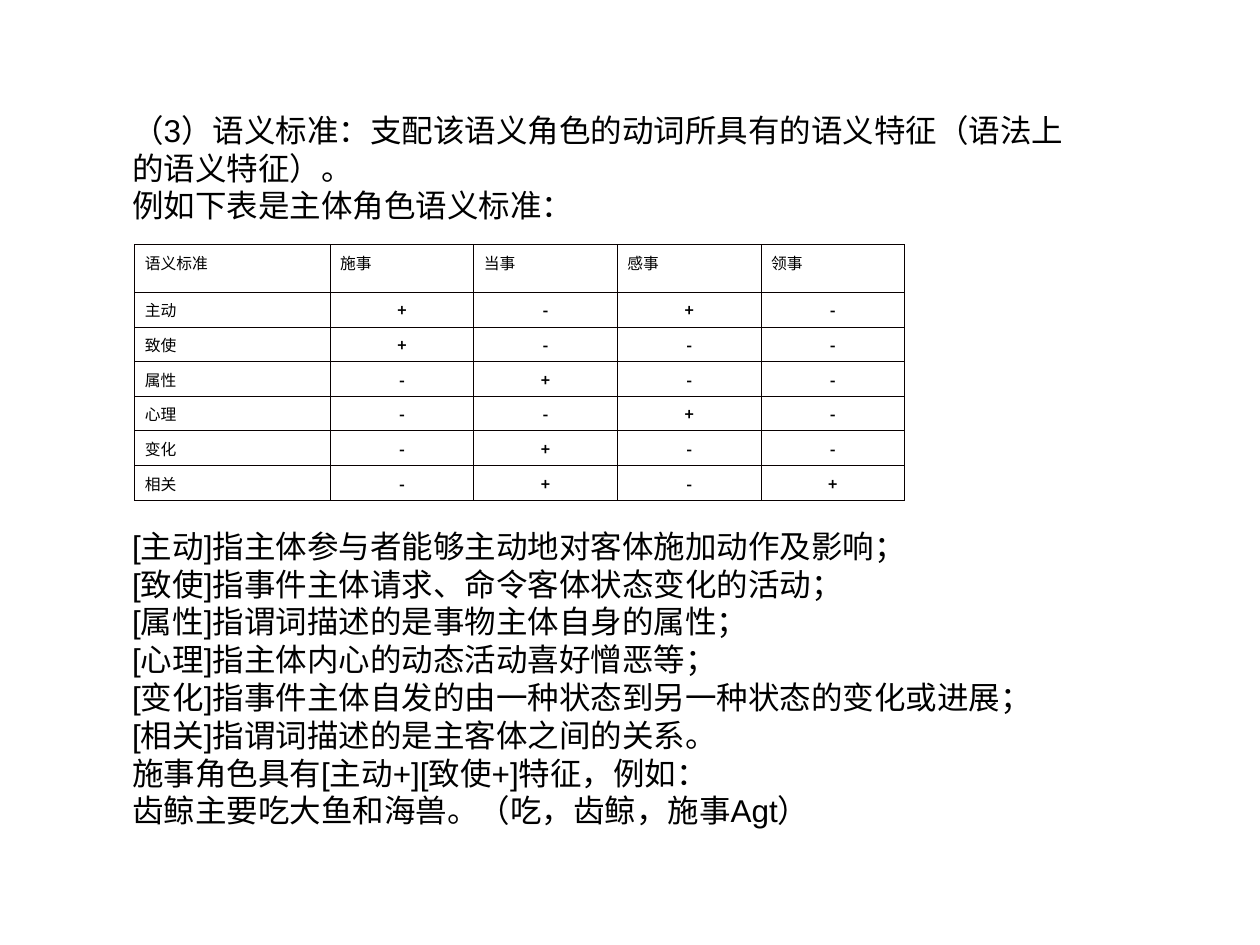
from lxml import etree
from pptx import Presentation
from pptx.dml.color import RGBColor
from pptx.enum import text
from pptx.oxml.ns import qn
from pptx.util import Inches, Pt

COLORS = {"text": "000000", "border": "080000"}
FONTS = {"body": "Arial", "table": "Noto Sans CJK SC"}

INTRO = [
    "（3）语义标准：支配该语义角色的动词所具有的语义特征（语法上",
    "的语义特征）。",
    "例如下表是主体角色语义标准：",
]
DEFINITIONS = [
    ("主动", "指主体参与者能够主动地对客体施加动作及影响；"),
    ("致使", "指事件主体请求、命令客体状态变化的活动；"),
    ("属性", "指谓词描述的是事物主体自身的属性；"),
    ("心理", "指主体内心的动态活动喜好憎恶等；"),
    ("变化", "指事件主体自发的由一种状态到另一种状态的变化或进展；"),
    ("相关", "指谓词描述的是主客体之间的关系。"),
]
EXAMPLE = [
    "施事角色具有[主动+][致使+]特征，例如：",
    "齿鲸主要吃大鱼和海兽。（吃，齿鲸，施事Agt）",
]
HEADER = ["语义标准", "施事", "当事", "感事", "领事"]
FEATURES = ["+-+-", "+---", "-+--", "--+-", "-+--", "-+-+"]

COLUMN_WIDTHS = [1.55] + [1.14] * 4
ROW_HEIGHTS = [0.38] + [0.275] * len(FEATURES)
TABLE_GAP = Pt(173)  # room for the table between the intro and the definitions


def add_run(paragraph, words, font, size, bold=False):
    run = paragraph.add_run()
    run.text = words
    for name, value in {"name": font, "size": Pt(size), "bold": bold}.items():
        setattr(run.font, name, value)
    run.font.color.rgb = RGBColor.from_string(COLORS["text"])
    return run


def add_borders(cell):
    properties = cell._tc.get_or_add_tcPr()
    for index, side in enumerate(("lnL", "lnR", "lnT", "lnB")):
        line = etree.Element(qn(f"a:{side}"), w=str(Pt(0.45)))
        fill = etree.SubElement(line, qn("a:solidFill"))
        etree.SubElement(fill, qn("a:srgbClr"), val=COLORS["border"])
        properties.insert(index, line)


def add_explanation(slide):
    box = slide.shapes.add_textbox(Inches(0.95), Inches(0.83), Inches(7.71), Inches(6.4))
    frame = box.text_frame
    frame.word_wrap = False
    frame.auto_size = text.MSO_AUTO_SIZE.SHAPE_TO_FIT_TEXT
    definitions = [f"[{term}]{meaning}" for term, meaning in DEFINITIONS]
    for index, words in enumerate(INTRO + definitions + EXAMPLE):
        paragraph = frame.add_paragraph() if index else frame.paragraphs[0]
        if index == len(INTRO):
            paragraph.space_before = TABLE_GAP
        add_run(paragraph, words, FONTS["body"], 18)


def add_feature_table(slide):
    rows = [HEADER] + [[term, *marks] for (term, _), marks in zip(DEFINITIONS, FEATURES)]
    table = slide.shapes.add_table(
        len(rows), len(HEADER), Inches(1.07), Inches(1.94),
        Inches(sum(COLUMN_WIDTHS)), Inches(sum(ROW_HEIGHTS))).table
    table.first_row = table.horz_banding = False
    for column, width in zip(table.columns, COLUMN_WIDTHS):
        column.width = Inches(width)
    for row, height, values in zip(table.rows, ROW_HEIGHTS, rows):
        row.height = Inches(height)
        for cell, words in zip(row.cells, values):
            cell.margin_left = cell.margin_right = Inches(0.08)
            cell.fill.background()
            add_borders(cell)
            is_mark = words in "+-"
            paragraph = cell.text_frame.paragraphs[0]
            paragraph.alignment = text.PP_ALIGN.CENTER if is_mark else text.PP_ALIGN.LEFT
            run = add_run(paragraph, words, FONTS["table"], 9, bold=is_mark)
            etree.SubElement(run.font._element, qn("a:ea"), typeface=FONTS["table"])


def main():
    presentation = Presentation()
    presentation.slide_width, presentation.slide_height = Inches(10), Inches(7.5)
    slide = presentation.slides.add_slide(presentation.slide_layouts[6])
    add_explanation(slide)
    add_feature_table(slide)
    presentation.save("out.pptx")


if __name__ == "__main__":
    main()
